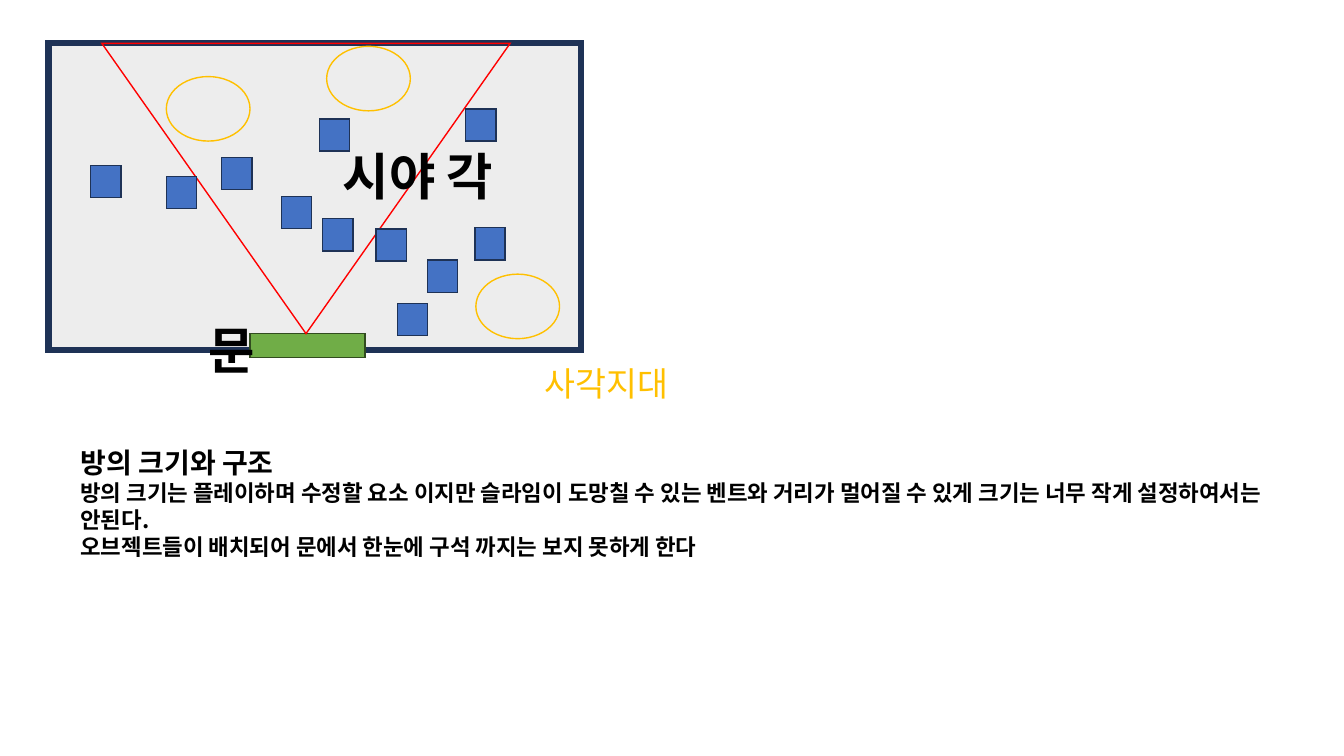
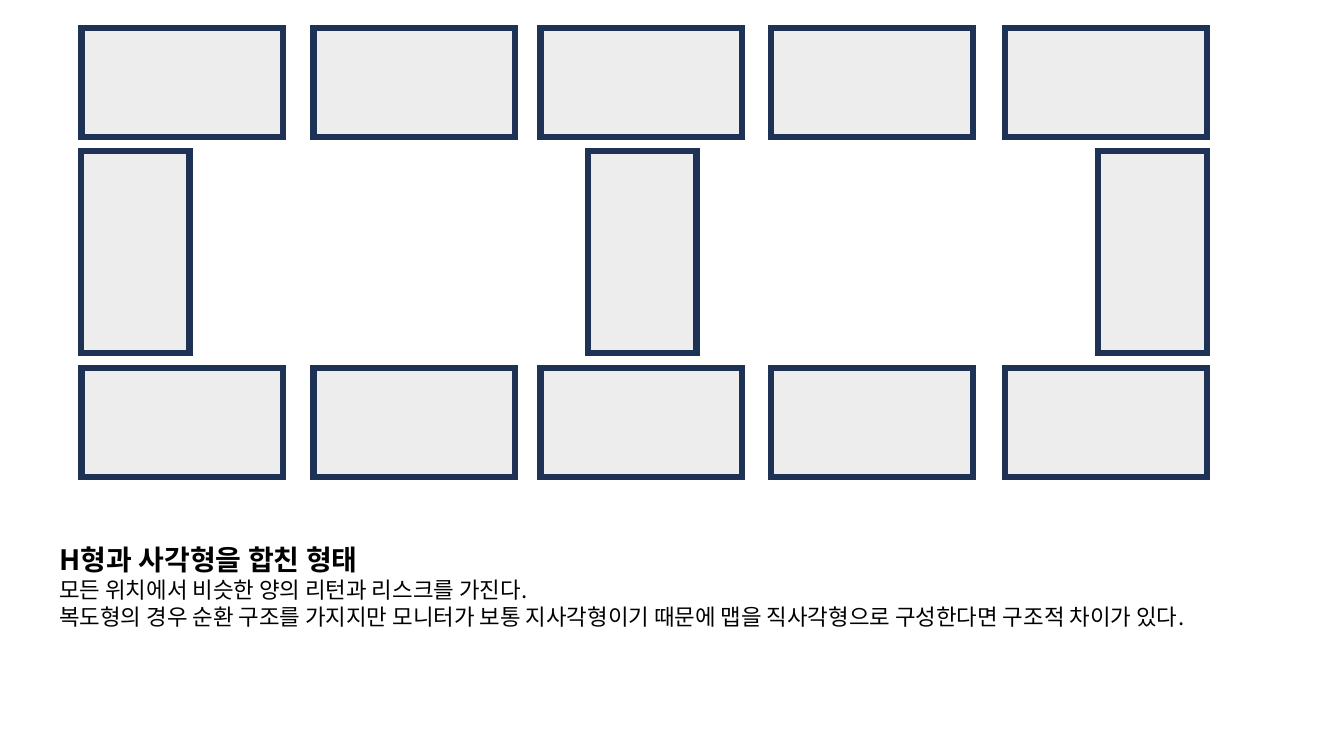
from pptx import Presentation
from pptx.util import Inches, Pt
from pptx.dml.color import RGBColor
from pptx.enum.shapes import MSO_SHAPE as Kind
from pptx.enum.text import MSO_AUTO_SIZE as Fit, PP_ALIGN as Align
from pptx.oxml.ns import qn
from lxml.etree import SubElement

FONT = "Noto Sans CJK KR"
NAVY, PALE, BLUE, GOLD = "1E3256", "EDEDED", "4472C4", "FFC000"
BLACK, GREEN, MOSS, RED = "000000", "70AD47", "314C1F", "FF0000"
WALL = 4.5

deck = Presentation()
# Lengths below count the columns and rows of a one-inch grid.
deck.slide_width, deck.slide_height = Inches(13.33), Inches(7.5)
blank = deck.slide_layouts[6]
hue = RGBColor.from_string


def draw(slide, kind, box, fill, edge, weight=1):
    """Add a preset shape with sharp corners; no fill if fill is None."""
    shape = slide.shapes.add_shape(kind, *map(Inches, box))
    shape.shadow.inherit = False
    if fill:
        shape.fill.solid()
        shape.fill.fore_color.rgb = hue(fill)
    else:
        shape.fill.background()
    shape.line.color.rgb = hue(edge)
    shape.line.width = Pt(weight)
    SubElement(shape.line._ln, qn("a:miter"), lim="800000")
    return shape


def write(slide, box, lines, color=BLACK, label=False):
    """Add text from (words, size, bold) lines; a label is centred, unwrapped."""
    frame = slide.shapes.add_textbox(*map(Inches, box)).text_frame
    frame.word_wrap = not label
    frame.auto_size = Fit.SHAPE_TO_FIT_TEXT
    frame.text = "\n".join(words for words, size, bold in lines)
    for para, (words, size, bold) in zip(frame.paragraphs, lines):
        para.alignment = Align.CENTER if label else Align.LEFT
        font = para.runs[0].font
        font.size, font.bold, font.name = Pt(size), bold, FONT
        font.color.rgb = hue(color)
        SubElement(font._element, qn("a:ea"), typeface=FONT)


# Slide 1: one room seen from its door
room = deck.slides.add_slide(blank)
draw(room, Kind.RECTANGLE, (0.48, 0.43, 5.28, 3.04), PALE, NAVY, WALL)
write(room, (0.7, 4.37, 11.93, 1.25), [
    ("방의 크기와 구조", 20, True),
    ("방의 크기는 플레이하며 수정할 요소 이지만 슬라임이 도망칠 수 있는 벤트와 "
     "거리가 멀어질 수 있게 크기는 너무 작게 설정하여서는 안된다.", 16, True),
    ("오브젝트들이 배치되어 문에서 한눈에 구석 까지는 보지 못하게 한다", 16, True),
])
draw(room, Kind.RECTANGLE, (2.48, 3.31, 1.14, 0.24), GREEN, MOSS)
view = draw(room, Kind.ISOSCELES_TRIANGLE, (1.01, 0.43, 4.05, 2.88), None, RED)
view.rotation = 180
write(room, (1.94, 3.12, 0.71, 0.71), [("문", 36, True)], label=True)
write(room, (3.2, 1.39, 1.89, 0.71), [("시야 각", 36, True)], label=True)

crates = [(1.65, 1.75), (2.2, 1.56), (2.79, 1.95), (0.9, 1.64), (3.2, 2.17),
          (3.73, 2.27), (4.24, 2.58), (4.71, 2.26), (4.62, 1.08), (3.17, 1.18),
          (3.94, 3.01)]
for x, y in crates:
    draw(room, Kind.RECTANGLE, (x, y, 0.3, 0.32), BLUE, NAVY)
for x, y in [(1.65, 0.76), (3.24, 0.46), (4.72, 2.72)]:
    draw(room, Kind.OVAL, (x, y, 0.83, 0.64), None, GOLD)
write(room, (5.24, 3.55, 1.55, 0.5), [("사각지대", 24, False)], GOLD, label=True)

# Slide 2: rooms joined into a map
plan = deck.slides.add_slide(blank)
write(plan, (0.49, 5.33, 12.6, 1.25), [
    ("H형과 사각형을 합친 형태", 20, True),
    ("모든 위치에서 비슷한 양의 리턴과 리스크를 가진다.", 16, False),
    ("복도형의 경우 순환 구조를 가지지만 모니터가 보통 지사각형이기 때문에 "
     "맵을 직사각형으로 구성한다면 구조적 차이가 있다.", 16, False),
])
long, short = 2, 1.08
for y in (0.28, 3.65):
    for x in (0.81, 3.11, 5.36, 7.65, 9.97):
        draw(plan, Kind.RECTANGLE, (x, y, long, short), PALE, NAVY, WALL)
for x in (0.8, 5.83, 10.89):
    draw(plan, Kind.RECTANGLE, (x, 1.5, short, long), PALE, NAVY, WALL)

deck.save("out.pptx")
